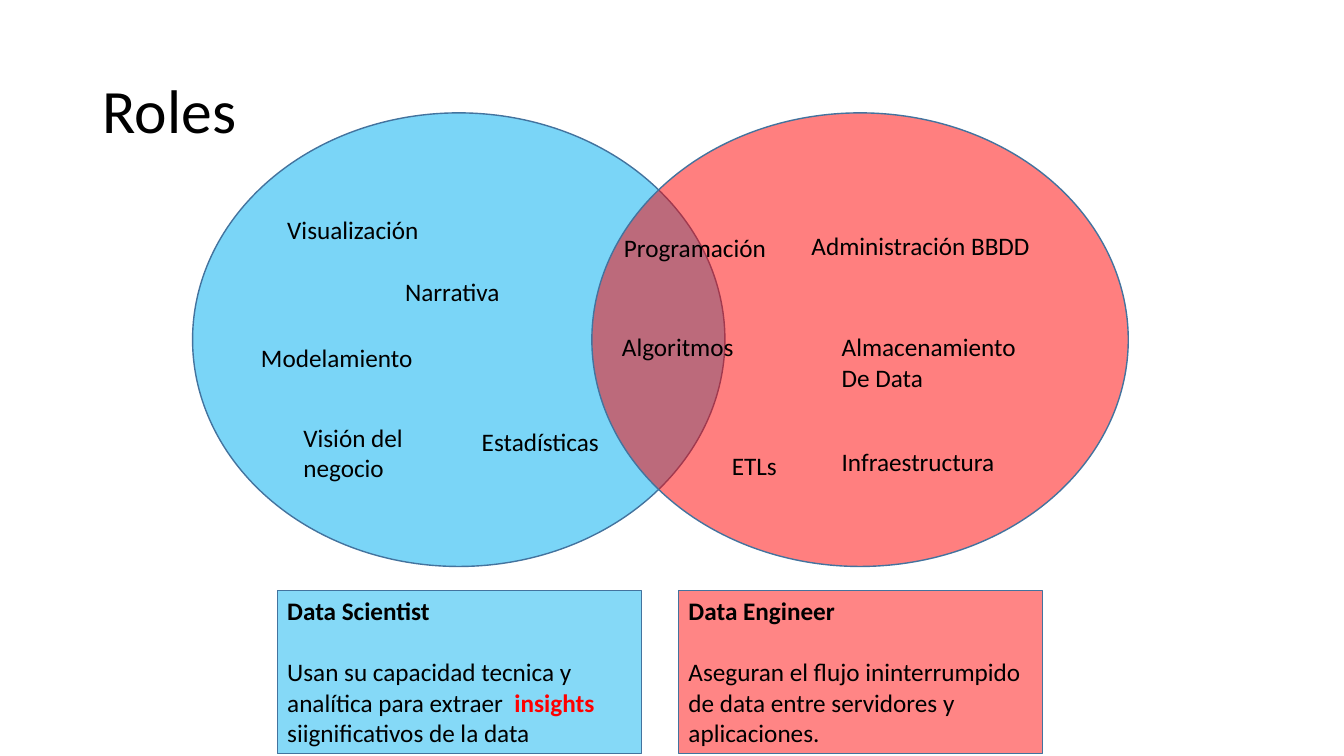
from dataclasses import dataclass

from lxml import etree
from pptx import Presentation
from pptx.dml.color import RGBColor
from pptx.enum.shapes import MSO_SHAPE
from pptx.enum.text import MSO_ANCHOR
from pptx.oxml.ns import qn
from pptx.util import Inches, Pt

OVAL = MSO_SHAPE.OVAL
MIDDLE = MSO_ANCHOR.MIDDLE


@dataclass(frozen=True)
class Theme:
    """Colours, font and type sizes of the slide."""
    font: str = "Calibri"
    title: Pt = Pt(44)
    body: Pt = Pt(18)
    gap: Pt = Pt(22)
    text: RGBColor = RGBColor(0x00, 0x00, 0x00)
    blue: RGBColor = RGBColor(0x00, 0xB0, 0xF0)
    red: RGBColor = RGBColor(0xFF, 0x00, 0x00)
    outline: RGBColor = RGBColor(0x43, 0x73, 0x9E)


THEME = Theme()

CIRCLES = [
    (0, 5.28, THEME.blue, 52),
    (3.96, 5.32, THEME.red, 50),
]

SKILLS = [
    ("Visualización", 0.84, 0.96, 1.52),
    ("Narrativa", 2.01, 1.57, 1.15),
    ("Modelamiento", 0.58, 2.23, 1.72),
    ("Visión del negocio", 1.0, 3.02, 1.79),
    ("Estadísticas", 2.77, 3.06, 1.37),
    ("Programación", 4.18, 1.14, 1.63),
    ("Algoritmos", 4.16, 2.12, 1.32),
    ("ETLs", 5.25, 3.3, 0.65),
    ("Administración BBDD", 6.04, 1.12, 2.39),
    ("Almacenamiento\nDe Data", 6.34, 2.12, 2.0),
    ("Infraestructura", 6.34, 3.26, 1.73),
]
TWO_LINE_SKILLS = ("Visión del negocio", "Almacenamiento\nDe Data")

ROLES = [
    ("Data Scientist", THEME.blue, [
        ("Usan su capacidad tecnica y analítica para extraer  ", False),
        ("insights ", True),
        ("siignificativos de la data", False),
    ]),
    ("Data Engineer", THEME.red, [
        ("Aseguran el flujo ininterrumpido de data entre servidores y aplicaciones.", False),
    ]),
]


def style_font(font, size, color=THEME.text, bold=False):
    """Apply the theme font with a size, colour and weight."""
    font.name = THEME.font
    font.size = size
    font.color.rgb = color
    font.bold = bold


def paint(s, color, opacity, line_width):
    """Give a shape a translucent fill and the theme outline."""
    s.fill.solid()
    s.fill.fore_color.rgb = color
    clr = s.fill._xPr.find(qn("a:solidFill"))[0]
    etree.SubElement(clr, qn("a:alpha")).set("val", str(opacity * 1000))
    s.line.color.rgb = THEME.outline
    s.line.width = Pt(line_width)


def add_title(slide, text, left, top, width, height):
    """Place the slide title, vertically centred in its box."""
    s = slide.shapes.add_textbox(left, top, width, height)
    tf = s.text_frame
    tf.word_wrap = True
    tf.vertical_anchor = MIDDLE
    p = tf.paragraphs[0]
    p.text = text
    p.line_spacing = 0.9
    style_font(p.font, THEME.title)


def add_venn_circles(slide, left, top, height):
    """Draw the two overlapping role circles."""
    for dx, width, color, opacity in CIRCLES:
        s = slide.shapes.add_shape(OVAL, left + Inches(dx), top, Inches(width), height)
        s.shadow.inherit = False
        paint(s, color, opacity, 1)


def add_skills(slide, left, top):
    """Write the skill labels over the circles."""
    for text, dx, dy, width in SKILLS:
        height = 0.71 if text in TWO_LINE_SKILLS else 0.4
        s = slide.shapes.add_textbox(left + Inches(dx), top + Inches(dy),
                                     Inches(width), Inches(height))
        tf = s.text_frame
        tf.word_wrap = text == "Visión del negocio"
        tf.text = text
        for p in tf.paragraphs:
            style_font(p.font, THEME.body)


def add_role_card(slide, role, left, top, width, height):
    """Draw one card with a role name and its description."""
    name, color, description = role
    s = slide.shapes.add_textbox(left, top, width, height)
    paint(s, color, 48, 0.75)
    tf = s.text_frame
    tf.word_wrap = True
    p = tf.paragraphs[0]
    p.text = name
    p.space_after = THEME.gap
    style_font(p.font, THEME.body, bold=True)
    p = tf.add_paragraph()
    for text, highlighted in description:
        r = p.add_run()
        r.text = text
        style_font(r.font, THEME.body, THEME.red if highlighted else THEME.text, highlighted)


def add_role_cards(slide, left, top, width, height, pitch):
    """Set the role cards side by side."""
    for i, role in enumerate(ROLES):
        add_role_card(slide, role, left + i * pitch, top, width, height)


def main():
    """Build the roles slide and save it."""
    prs = Presentation()
    prs.slide_width = Inches(13.33)
    prs.slide_height = Inches(7.5)
    slide = prs.slides.add_slide(prs.slide_layouts[6])
    venn_left, venn_top = Inches(1.91), Inches(1.12)
    add_venn_circles(slide, venn_left, venn_top, Inches(4.5))
    add_role_cards(slide, Inches(2.75), Inches(5.86), Inches(3.61), Inches(1.62), Inches(3.98))
    add_title(slide, "Roles", Inches(0.92), Inches(0.4), Inches(11.5), Inches(1.45))
    add_skills(slide, venn_left, venn_top)
    prs.save("out.pptx")


if __name__ == "__main__":
    main()
